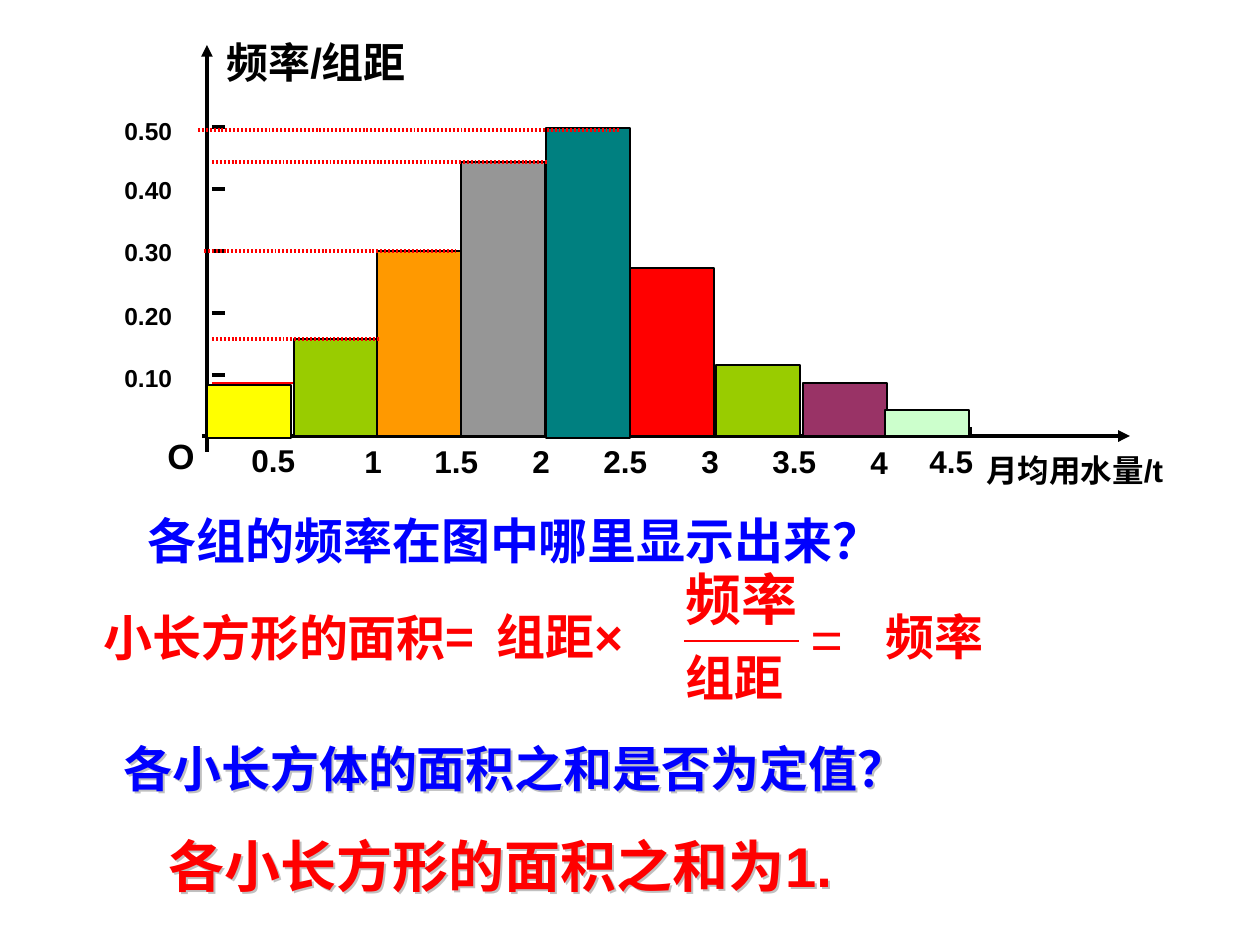
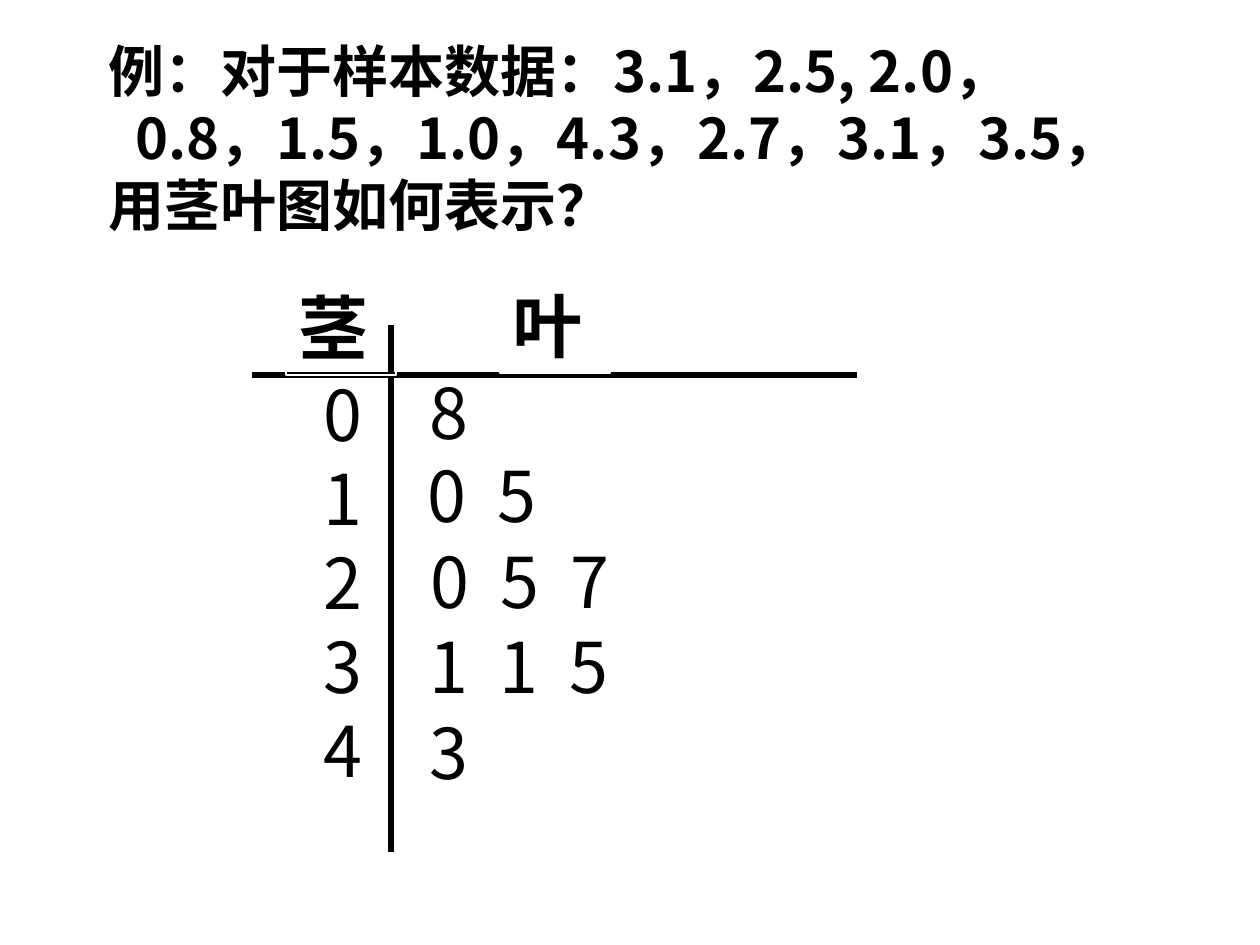
from lxml.etree import SubElement
from pptx import Presentation
from pptx.dml.color import RGBColor
from pptx.enum.shapes import MSO_CONNECTOR, MSO_SHAPE
from pptx.enum.text import MSO_ANCHOR, MSO_AUTO_SIZE, PP_ALIGN
from pptx.oxml.ns import qn
from pptx.util import Emu, Pt

PX = 914400 / 126
COLORS = {"black": "000000", "white": "FFFFFF", "blue": "0000FF", "red": "FF0000",
          "yellow": "FFFF00", "green": "99CC00", "orange": "FF9900", "grey": "969696",
          "teal": "008080", "plum": "993366", "mint": "CCFFCC", "shadow": "C0C0C0"}
CJK, LATIN = "Noto Sans CJK SC", "Arial"

# Text formats
HEADING = {"size": 28, "bold": True, "color": "blue", "name": CJK}
FORMULA = {**HEADING, "color": "red"}
FRACTION_TOP = {**FORMULA, "size": 32}
EQUALS = {**FRACTION_TOP, "bold": False}
TIMES = {**FORMULA, "name": LATIN}
AXIS_NUMBER = {"size": 18, "bold": True, "color": "black", "name": LATIN}
AXIS_VALUE = {**AXIS_NUMBER, "size": 14}
ORIGIN = {**AXIS_NUMBER, "size": 20}
AXIS_NAME = {**AXIS_NUMBER, "size": 24}
QUESTION = {**HEADING, "name": LATIN}
ANSWER = {**QUESTION, "size": 32, "color": "red"}
EXAMPLE = {**HEADING, "size": 32, "color": "black"}
DIGIT = {"size": 40, "bold": False, "color": "black", "name": CJK}
PLOT_HEADER = {**DIGIT, "bold": True, "name": LATIN}

# Histogram: bars as (left, top, bottom, colour)
BAR_WIDTH = 84
BARS = [(294, 339, 436, "green"), (377, 251, 436, "orange"), (461, 162, 436, "grey"),
        (546, 128, 438, "teal"), (630, 268, 436, "red"), (716, 365, 436, "green"),
        (803, 383, 436, "plum"), (885, 410, 436, "mint"), (207, 385, 438, "yellow")]
GUIDES = [(212, 339, 379), (204, 251, 456), (212, 162, 548), (198, 130, 621)]
AXIS_TOP, AXIS_BOTTOM, AXIS_X, AXIS_Y = 45, 452, 207, 436
VALUE_LABELS = [("0.10", 357), ("0.20", 295), ("0.30", 231), ("0.40", 169), ("0.50", 110)]
NUMBER_LABELS = [("0.5", 239, 435), ("1", 352, 436), ("1.5", 422, 436), ("2", 520, 436),
                 ("2.5", 591, 436), ("3", 689, 436), ("3.5", 760, 436), ("4", 858, 437),
                 ("4.5", 917, 436)]

# Text boxes of the first slide: runs, box, format of each run
FIRST_TITLE = "各组的频率在图中哪里显示出来？"
CAPTIONS = [([("频率/组距", AXIS_NAME)], (214, 30, 253, 63)),
            ([("月均用水量/t", AXIS_NUMBER)], (974, 445, 230, 50)),
            ([("O", ORIGIN)], (155, 428, 84, 55))]
FORMULA_PARTS = [([("小长方形的面积=", FORMULA)], (91, 601, 467, 79)),
                 ([("组距", FORMULA)], (673, 641, 179, 84)),
                 ([("频率", FRACTION_TOP)], (673, 558, 168, 84)),
                 ([("=", EQUALS)], (799, 600, 63, 84)),
                 ([("组距", FORMULA), ("×", TIMES)], (484, 600, 231, 72)),
                 ([("频率", FORMULA)], (873, 600, 179, 72))]
CONCLUSIONS = [([("各小长方体的面积之和是否为定值？", QUESTION)], (111, 732, 929, 72)),
               ([("各小长方形的面积之和为1.", ANSWER)], (156, 825, 702, 81))]

# Stem-and-leaf plot
EXAMPLE_LINES = ["例：对于样本数据：3.1，2.5, 2.0，",
                 "0.8，1.5，1.0，4.3，2.7，3.1，3.5，用茎叶图如何表示？"]
STEMS = "01234"
LEAVES = [("8", 417, 363), ("05", 415, 446), ("057", 418, 532), ("115", 417, 617), ("3", 417, 703)]
LEAF_PITCH = 70
HEADERS = [("茎", 286, 278), ("叶", 500, 276)]


def px(*lengths):
    return [Emu(round(length * PX)) for length in lengths]


def rgb(color):
    return RGBColor.from_string(COLORS[color])


def add_run(paragraph, text, style):
    run = paragraph.add_run()
    run.text = text
    values = {**style, "size": Pt(style["size"])}
    run.font.color.rgb = rgb(values.pop("color"))
    for attribute, value in values.items():
        setattr(run.font, attribute, value)
    SubElement(run._r.get_or_add_rPr(), qn("a:ea"), typeface=CJK)


def set_frame(shape, wrap=True):
    frame = shape.text_frame
    inset, small_inset = Pt(7.2), Pt(3.6)
    values = {"word_wrap": wrap, "auto_size": MSO_AUTO_SIZE.NONE,
              "vertical_anchor": MSO_ANCHOR.TOP, "margin_left": inset, "margin_right": inset,
              "margin_top": small_inset, "margin_bottom": small_inset}
    for attribute, value in values.items():
        setattr(frame, attribute, value)
    return frame


def add_text(slide, runs, box, wrap=True):
    shape = slide.shapes.add_textbox(*px(*box))
    frame = set_frame(shape, wrap)
    for text, style in runs:
        add_run(frame.paragraphs[0], text, style)
    return shape


def add_shadow(shape):
    effects = SubElement(shape._element.spPr, qn("a:effectLst"))
    outer = SubElement(effects, qn("a:outerShdw"), dist=str(px(3)[0]), dir="2700000")
    SubElement(outer, qn("a:srgbClr"), val=COLORS["shadow"])


def add_title_slide(presentation, lines, style, box):
    slide = presentation.slides.add_slide(presentation.slide_layouts[5])
    title = slide.shapes.title
    title.left, title.top, title.width, title.height = px(*box)
    frame = set_frame(title)
    for index, line in enumerate(lines):
        paragraph = frame.add_paragraph() if index else frame.paragraphs[0]
        paragraph.alignment = PP_ALIGN.LEFT
        add_run(paragraph, line, style)
    return slide


def add_line(slide, start, end, color, width, dotted=False, arrow=False):
    line = slide.shapes.add_connector(MSO_CONNECTOR.STRAIGHT, *px(*start, *end))
    line.line.color.rgb = rgb(color)
    line.line.width = Pt(width)
    outline = line.line._get_or_add_ln()
    if dotted:
        dashes = SubElement(outline, qn("a:custDash"))
        SubElement(dashes, qn("a:ds"), d="50000", sp="50000")
    if arrow:
        SubElement(outline, qn("a:tailEnd"), type="triangle")
    SubElement(line._element.spPr, qn("a:effectLst"))


def add_rectangle(slide, box, line, fill=None):
    shape = slide.shapes.add_shape(MSO_SHAPE.RECTANGLE, *px(*box))
    shape.shadow.inherit = False
    if fill:
        shape.fill.solid()
        shape.fill.fore_color.rgb = rgb(fill)
    else:
        shape.fill.background()
    shape.line.color.rgb = rgb(line)
    shape.line.width = Pt(0.75)
    return shape


def draw_histogram(slide):
    # Axes and their marks
    add_line(slide, (202, AXIS_Y), (1130, AXIS_Y), "black", 2.25, arrow=True)
    add_line(slide, (AXIS_X, AXIS_BOTTOM), (AXIS_X, AXIS_TOP), "black", 2.25, arrow=True)
    for step in range(5):
        y = 375 - 62 * step
        add_line(slide, (212, y), (225, y), "black", 2.25)
    add_line(slide, (971, AXIS_Y), (971, 427), "black", 0.75)

    # Labels
    for text, top in VALUE_LABELS:
        add_text(slide, [(text, AXIS_VALUE)], (112, top, 112, 43))
    for text, left, top in NUMBER_LABELS:
        add_text(slide, [(text, AXIS_NUMBER)], (left, top, 113, 50))
    for runs, box in CAPTIONS:
        add_text(slide, runs, box, wrap=False)

    # Bars, then the guides that lead to their tops
    add_line(slide, (212, 383), (296, 383), "red", 0.75)
    for left, top, bottom, color in BARS:
        add_rectangle(slide, (left, top, BAR_WIDTH, bottom - top), "black", color)
    for start, y, end in GUIDES:
        add_line(slide, (start, y), (end, y), "red", 2.25, dotted=True)


def build_histogram_slide(presentation):
    slide = add_title_slide(presentation, [FIRST_TITLE], HEADING, (135, 475, 878, 101))
    slide.shapes.title.text_frame.paragraphs[0].line_spacing = 1.5
    for runs, box in FORMULA_PARTS:
        add_text(slide, runs, box)
    add_line(slide, (684, 641), (799, 641), "red", 1)
    draw_histogram(slide)
    for runs, box in CONCLUSIONS:
        add_shadow(add_text(slide, runs, box, wrap=False))


def build_stem_leaf_slide(presentation):
    slide = add_title_slide(presentation, EXAMPLE_LINES, EXAMPLE, (96, 30, 1070, 214))
    second_line = slide.shapes.title.text_frame.paragraphs[1]
    second_line._p.get_or_add_pPr().set("indent", str(px(27)[0]))

    # Stems, one to a line, and leaves on even tab stops
    frame = set_frame(slide.shapes.add_textbox(*px(311, 365, 89, 433)))
    for index, stem in enumerate(STEMS):
        paragraph = frame.add_paragraph() if index else frame.paragraphs[0]
        add_run(paragraph, stem, DIGIT)
    for leaves, left, top in LEAVES:
        frame = set_frame(slide.shapes.add_textbox(*px(left, top, 340, 97)))
        paragraph = frame.paragraphs[0]
        tabs = SubElement(paragraph._p.get_or_add_pPr(), qn("a:tabLst"))
        for stop in range(1, len(leaves)):
            SubElement(tabs, qn("a:tab"), pos=str(px(LEAF_PITCH * stop)[0]), algn="l")
        add_run(paragraph, "\t".join(leaves), DIGIT)

    # Cross lines and headers
    add_line(slide, (391, 325), (391, 852), "black", 3)
    add_line(slide, (252, 375), (857, 375), "black", 3)
    for text, left, top in HEADERS:
        header = add_rectangle(slide, (left, top, 110, 97), "white")
        paragraph = set_frame(header).paragraphs[0]
        paragraph.alignment = PP_ALIGN.LEFT
        add_run(paragraph, text, PLOT_HEADER)


def main():
    presentation = Presentation()
    presentation.slide_width, presentation.slide_height = px(1260, 945)
    build_histogram_slide(presentation)
    build_stem_leaf_slide(presentation)
    presentation.save("out.pptx")


if __name__ == "__main__":
    main()
